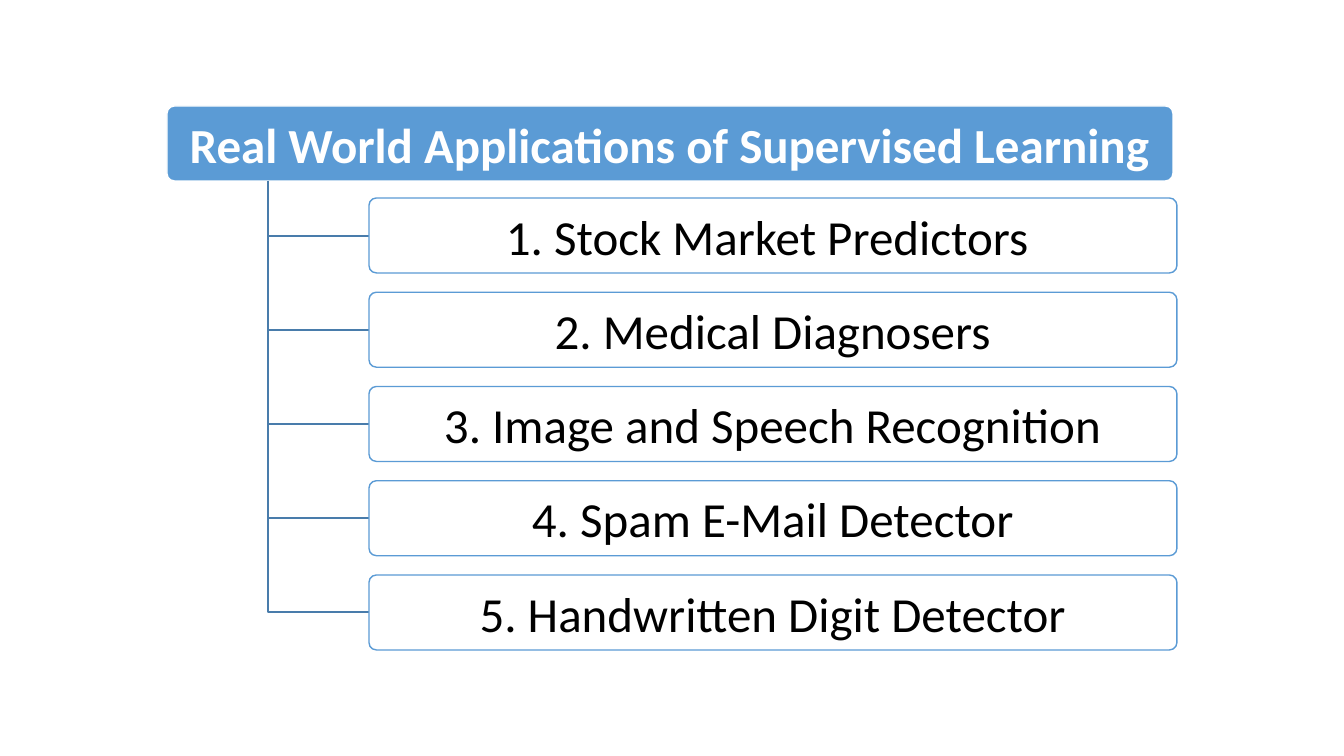
from lxml.etree import SubElement
from pptx import Presentation
from pptx.dml.color import RGBColor
from pptx.enum.shapes import MSO_SHAPE as Preset
from pptx.enum.text import MSO_ANCHOR as Anchor, MSO_AUTO_SIZE as AutoSize, PP_ALIGN as Align
from pptx.oxml.ns import qn
from pptx.util import Pt

HEADING = "Real World Applications of Supervised Learning"
APPLICATIONS = [
    "1. Stock Market Predictors ",
    "2. Medical Diagnosers",
    "3. Image and Speech Recognition",
    "4. Spam E-Mail Detector",
    "5. Handwritten Digit Detector",
]
SCALE = 914400 / 100.8
SLIDE_SIZE = (1344, 756)
HEADING_BOX = (167, 106, 1006, 75)
ITEM_LEFT, ITEM_WIDTH, ITEM_HEIGHT = 369, 808, 75
FIRST_TOP, LAST_TOP = 198, 575
TRUNK_LEFT = 268
BLUE, BRANCH, WHITE, BLACK = "5B9BD5", "497CAB", "FFFFFF", "000000"
FRAME_FORMAT = {
    "word_wrap": True, "auto_size": AutoSize.NONE, "vertical_anchor": Anchor.MIDDLE,
    "margin_left": Pt(5), "margin_right": Pt(5), "margin_top": Pt(3.5), "margin_bottom": Pt(3.5),
}


def px(length):
    return round(length * SCALE)


def color(value):
    return RGBColor.from_string(value)


def set_all(target, values):
    for name, value in values.items():
        setattr(target, name, value)


def set_line(shape, line_color):
    shape.shadow.inherit = False
    shape.line.color.rgb = color(line_color)
    shape.line.width = Pt(1)


def write(shape, text, text_color, bold):
    frame = shape.text_frame
    frame.text = text
    set_all(frame, FRAME_FORMAT)
    paragraph = frame.paragraphs[0]
    paragraph.alignment = Align.CENTER
    font = paragraph.runs[0].font
    set_all(font, {"name": "Calibri", "size": Pt(35), "bold": bold})
    font.color.rgb = color(text_color)


def add_box(slide, box, fill_color, line_color):
    shape = slide.shapes.add_shape(Preset.ROUNDED_RECTANGLE, *map(px, box))
    shape.adjustments[0] = 0.1
    shape.fill.solid()
    shape.fill.fore_color.rgb = color(fill_color)
    set_line(shape, line_color)
    return shape


def add_branch(slide, top, middle):
    builder = slide.shapes.build_freeform(TRUNK_LEFT, top, scale=SCALE)
    builder.add_line_segments([(TRUNK_LEFT, middle), (ITEM_LEFT, middle)], close=False)
    branch = builder.convert_to_shape()
    branch.fill.background()
    set_line(branch, BRANCH)


def main():
    presentation = Presentation()
    presentation.slide_width, presentation.slide_height = map(px, SLIDE_SIZE)
    slide = presentation.slides.add_slide(presentation.slide_layouts[5])

    add_box(slide, HEADING_BOX, BLUE, WHITE)
    title = slide.shapes.title
    set_all(title, dict(zip(("left", "top", "width", "height"), map(px, HEADING_BOX))))
    write(title, HEADING, WHITE, True)
    slide.shapes.element.append(title.element)

    heading_bottom = HEADING_BOX[1] + HEADING_BOX[3]
    pitch = (LAST_TOP - FIRST_TOP) / (len(APPLICATIONS) - 1)
    for index, application in enumerate(APPLICATIONS):
        top = FIRST_TOP + index * pitch
        add_branch(slide, heading_bottom, top + ITEM_HEIGHT / 2)
        item = add_box(slide, (ITEM_LEFT, top, ITEM_WIDTH, ITEM_HEIGHT), WHITE, BLUE)
        fill = item.element.spPr.find(qn("a:solidFill"))
        SubElement(fill[0], qn("a:alpha"), val="90000")
        write(item, application, BLACK, False)

    presentation.save("out.pptx")


if __name__ == "__main__":
    main()
